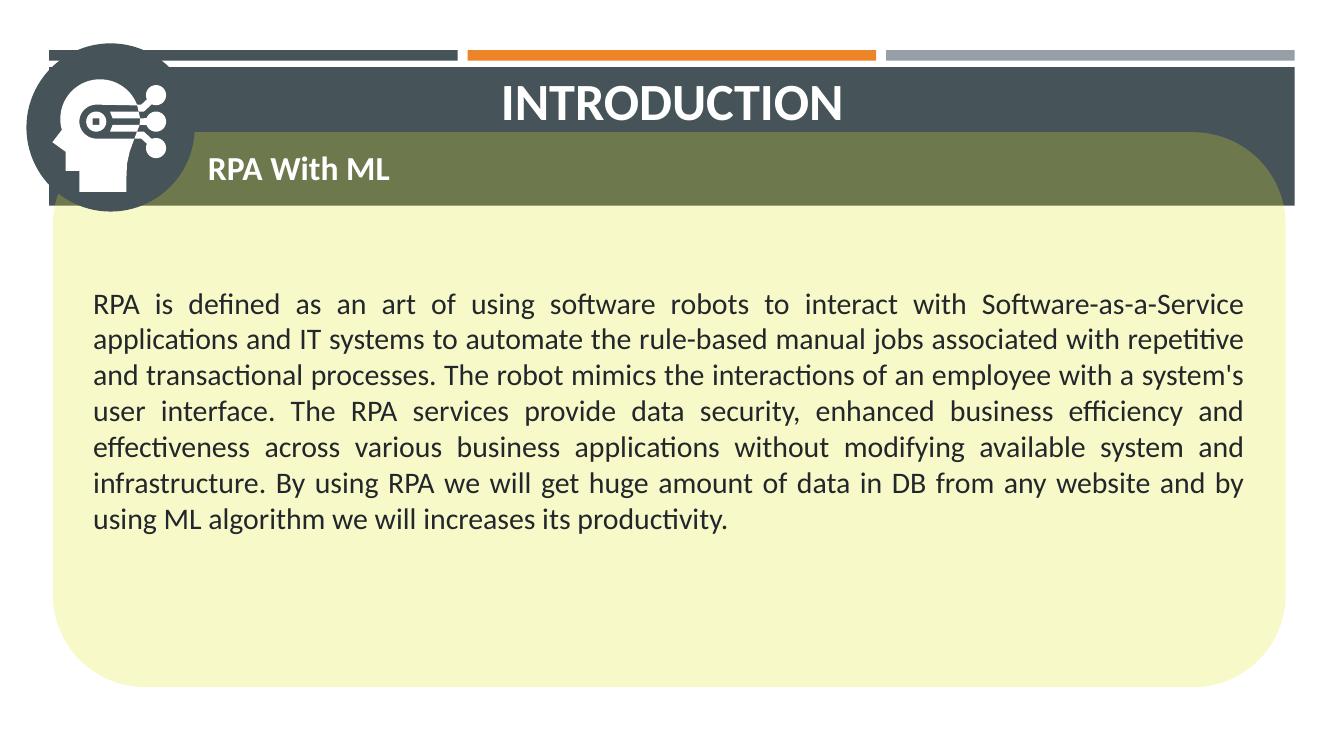
from math import cos, radians, sin

from lxml.etree import SubElement
from pptx import Presentation
from pptx.dml.color import RGBColor
from pptx.enum.shapes import MSO_SHAPE as Shape
from pptx.enum.text import MSO_ANCHOR as Anchor, PP_ALIGN as Align
from pptx.oxml.ns import qn
from pptx.util import Cm, Pt

SLATE = RGBColor(0x46, 0x53, 0x59)
ORANGE = RGBColor(0xED, 0x84, 0x28)
GREY = RGBColor(0x96, 0x9F, 0xA7)
LIME = RGBColor(0xE4, 0xEA, 0x27)
INK = RGBColor(0x23, 0x26, 0x2B)
WHITE = RGBColor(0xFF, 0xFF, 0xFF)

TITLE = "INTRODUCTION"
SUBTITLE = "RPA With ML"
BODY = (
    "RPA is defined as an art of using software robots to interact with "
    "Software-as-a-Service applications and IT systems to automate the "
    "rule-based manual jobs associated with repetitive and transactional "
    "processes. The robot mimics the interactions of an employee with a "
    "system's user interface. The RPA services provide data security, enhanced "
    "business efficiency and effectiveness across various business applications "
    "without modifying available system and infrastructure. By using RPA we "
    "will get huge amount of data in DB from any website and by using ML "
    "algorithm we will increases its productivity."
)
STRIPES = [SLATE, ORANGE, GREY]
STRIPE_LEFT, STRIPE_PITCH, STRIPE_WIDTH = 0.93, 7.91, 7.72
EYE_X, EYE_Y, NODE_X, DOT_RADIUS = 1.82, 2.3, 2.95, 0.19


def arc(x, y, radius, start, end, steps=40):
    angles = [radians(start + (end - start) * i / steps) for i in range(steps + 1)]
    return [(x + radius * cos(a), y + radius * sin(a)) for a in angles]


HEAD = (
    arc(1.89, 2.25, 0.75, -20, -196)
    + [(0.99, 2.69), (1.24, 2.87), (1.24, 3.23), (1.5, 3.23), (1.5, 3.63)]
    + [(2.39, 3.63), (2.39, 3.35), (2.4, 3.1), (2.45, 2.87), (2.54, 2.62)]
    + arc(EYE_X, EYE_Y, 0.32, 90, 270)
)
EYE = arc(EYE_X, EYE_Y, DOT_RADIUS, 0, 360)
PUPIL = [(1.75, 2.24), (1.88, 2.24), (1.88, 2.36), (1.75, 2.36)]
UPPER_BEAM = [(2.08, 2.11), (2.62, 2.11), (2.65, 2.24), (2.13, 2.24)]
LOWER_BEAM = [(2.13, 2.36), (2.64, 2.36), (2.59, 2.49), (2.08, 2.49)]
UPPER_NODE = ([(2.67, 1.98), (2.59, 1.98), (2.62, 2.11), (2.72, 2.11)]
              + arc(NODE_X, 1.8, DOT_RADIUS, 115, -205))
MIDDLE_NODE = [(2.65, 2.24), (2.64, 2.36)] + arc(NODE_X, EYE_Y, DOT_RADIUS, 160, -160)
LOWER_NODE = ([(2.72, 2.49), (2.59, 2.49), (2.54, 2.62), (2.67, 2.62)]
              + arc(NODE_X, 2.8, DOT_RADIUS, 205, -115))
ICON = [[HEAD], [EYE, PUPIL], [UPPER_BEAM], [LOWER_BEAM],
        [UPPER_NODE], [MIDDLE_NODE], [LOWER_NODE]]


def paint(shape, color):
    shape.shadow.inherit = False
    shape.fill.solid()
    shape.fill.fore_color.rgb = color
    shape.line.fill.background()
    return shape


def add_block(page, kind, place, color):
    return paint(page.shapes.add_shape(kind, *map(Cm, place)), color)


def add_outline(page, contours, color):
    first, *holes = [[(Cm(x), Cm(y)) for x, y in contour] for contour in contours]
    builder = page.shapes.build_freeform(*first[0])
    builder.add_line_segments(first[1:])
    for hole in holes:
        builder.move_to(*hole[0])
        builder.add_line_segments(hole[1:])
    return paint(builder.convert_to_shape(), color)


def write(box, text, size, color, align, bold=False):
    frame = box.text_frame
    frame.word_wrap = True
    frame.vertical_anchor = Anchor.MIDDLE
    frame.margin_left = frame.margin_right = Cm(0.25)
    frame.margin_top = frame.margin_bottom = Cm(0.25)
    para = frame.paragraphs[0]
    para.text = text
    para.alignment = align
    para.font.name = "Calibri"
    para.font.size = Pt(size)
    para.font.bold = bold
    para.font.color.rgb = color


def main():
    deck = Presentation()
    deck.slide_width, deck.slide_height = Cm(25.4), Cm(14.29)
    page = deck.slides.add_slide(deck.slide_layouts[6])

    for i, color in enumerate(STRIPES):
        left = STRIPE_LEFT + i * STRIPE_PITCH
        add_block(page, Shape.RECTANGLE, (left, 0.95, STRIPE_WIDTH, 0.2), color)
    add_block(page, Shape.RECTANGLE, (0.93, 1.27, 23.54, 2.62), SLATE)

    panel = add_block(page, Shape.ROUNDED_RECTANGLE, (1, 2.5, 23.3, 10.49), LIME)
    tint = panel.fill._xPr.find(qn("a:solidFill"))[0]
    SubElement(tint, qn("a:alpha")).set("val", "25000")
    write(panel, BODY, 16, INK, Align.JUSTIFY)

    add_block(page, Shape.OVAL, (0.5, 0.82, 3.18, 3.18), SLATE)
    title = page.shapes.add_textbox(Cm(1.02), Cm(1.37), Cm(23.37), Cm(1.04))
    write(title, TITLE, 28, WHITE, Align.CENTER, bold=True)
    for contours in ICON:
        add_outline(page, contours, WHITE)
    subtitle = page.shapes.add_textbox(Cm(3.68), Cm(2.7), Cm(7.54), Cm(0.91))
    write(subtitle, SUBTITLE, 18, WHITE, Align.LEFT, bold=True)

    deck.save("out.pptx")


if __name__ == "__main__":
    main()
